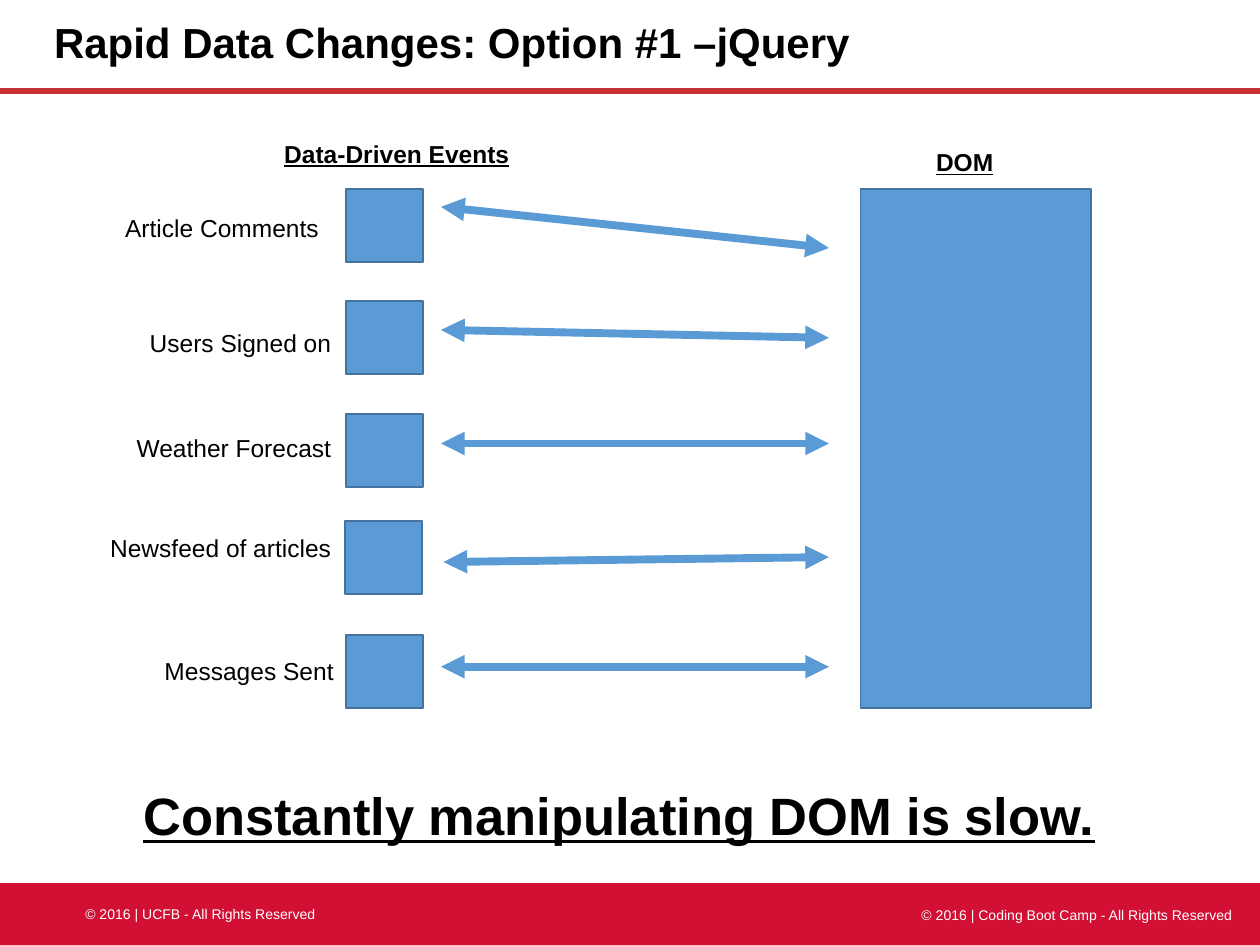
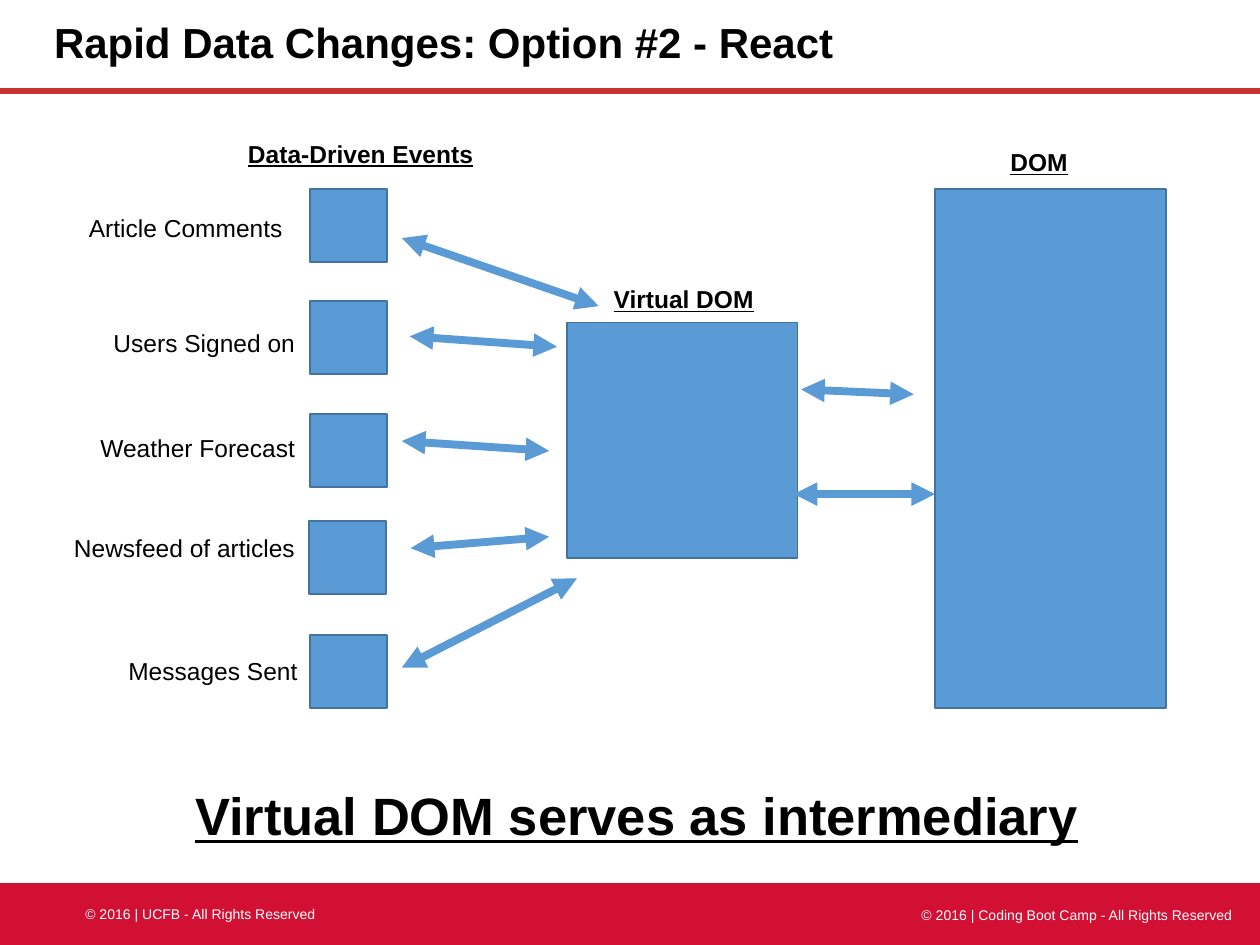
from lxml import etree
from pptx import Presentation
from pptx.dml.color import RGBColor
from pptx.enum import shapes, text
from pptx.oxml.ns import qn
from pptx.util import Cm, Pt

BLACK = RGBColor(0x00, 0x00, 0x00)
WHITE = RGBColor(0xFF, 0xFF, 0xFF)
BAND_RED = RGBColor(0xD1, 0x10, 0x34)
RULE_RED = RGBColor(0xC8, 0x32, 0x32)
BLUE = RGBColor(0x5B, 0x9B, 0xD5)
DARK_BLUE = RGBColor(0x43, 0x73, 0x9E)
FONT = "Arial"
LEFT, CENTER, RIGHT = text.PP_ALIGN.LEFT, text.PP_ALIGN.CENTER, text.PP_ALIGN.RIGHT

SLIDE_WIDTH, SLIDE_HEIGHT = 25.4, 19.05
DIAGRAM_TOP = 3.81
BLOCK_WIDTH, DOM_HEIGHT = 4.65, 10.46
LABEL_HEIGHT = 0.86

# Each event: label, label offset (x, y), square offset (x, y)
EVENTS = [
    ("Article Comments", (-6.5, 0.36), (0, 0)),
    ("Users Signed on", (-6.25, 2.67), (0, 2.26)),
    ("Weather Forecast", (-6.25, 4.8), (0, 4.54)),
    ("Newsfeed of articles", (-6.25, 6.81), (-0.02, 6.69)),
    ("Messages Sent", (-6.2, 9.3), (0, 8.99)),
]


def add_text(slide, words, left, top, width, height, size=14, color=BLACK,
             bold=False, underline=False, align=LEFT):
    box = slide.shapes.add_textbox(Cm(left), Cm(top), Cm(width), Cm(height))
    frame = box.text_frame
    frame.word_wrap = True
    paragraph = frame.paragraphs[0]
    paragraph.text = words
    paragraph.alignment = align
    font = paragraph.font
    font.name, font.size, font.bold, font.underline = FONT, Pt(size), bold, underline
    font.color.rgb = color
    return box


def add_block(slide, left, top, width, height, fill=BLUE, line=DARK_BLUE,
              preset=shapes.MSO_SHAPE.RECTANGLE):
    block = slide.shapes.add_shape(preset, Cm(left), Cm(top), Cm(width), Cm(height))
    block.shadow.inherit = False
    block.fill.solid()
    block.fill.fore_color.rgb = fill
    if line is None:
        block.line.fill.background()
    else:
        block.line.color.rgb = line
        block.line.width = Pt(1)


def add_line(slide, x1, y1, x2, y2, color, width):
    connector = slide.shapes.add_connector(
        shapes.MSO_CONNECTOR.STRAIGHT, Cm(x1), Cm(y1), Cm(x2), Cm(y2))
    connector.line.color.rgb = color
    connector.line.width = Pt(width)
    etree.SubElement(connector._element.spPr, qn("a:effectLst"))
    return connector


def draw_frame(slide, title, title_width):
    """Title with its rule, and the footer band."""
    add_block(slide, 0, 17.8, SLIDE_WIDTH, SLIDE_HEIGHT - 17.8, BAND_RED, None,
              shapes.MSO_SHAPE.FLOWCHART_PROCESS)
    add_text(slide, "© 2016 | UCFB - All Rights Reserved",
             1.47, 18.14, 7.75, 0.6, size=8, color=WHITE)
    add_line(slide, 0, 1.83, SLIDE_WIDTH, 1.83, RULE_RED, 3.25)
    add_text(slide, "© 2016 | Coding Boot Camp - All Rights Reserved",
             17.35, 18.16, 7.75, 0.6, size=8, color=WHITE, align=RIGHT)
    box = add_text(slide, title, 0.84, 0, title_width, 1.83, size=24, bold=True)
    box.text_frame.vertical_anchor = text.MSO_ANCHOR.MIDDLE
    box.text_frame.paragraphs[0].line_spacing = 0.9


def draw_events(slide, left, top):
    """Column of event squares with labels; left is the squares' edge."""
    add_text(slide, "Data-Driven Events", left - 1.5, top - 1.14, 5.18,
             LABEL_HEIGHT, bold=True, underline=True)
    for label, (label_x, label_y), (square_x, square_y) in EVENTS:
        add_block(slide, left + square_x, top + square_y, 1.55, 1.47)
        add_text(slide, label, left + label_x, top + label_y, 6.2,
                 LABEL_HEIGHT, align=RIGHT)


def draw_dom(slide, left, top):
    add_block(slide, left, top, BLOCK_WIDTH, DOM_HEIGHT)
    add_text(slide, "DOM", left + 1.27, top - 0.97, 2.87, LABEL_HEIGHT,
             bold=True, underline=True)


def draw_virtual_dom(slide, left, top):
    add_block(slide, left, top, BLOCK_WIDTH, 4.75)
    add_text(slide, "Virtual DOM", left + 0.69, top - 0.89, 3.61, LABEL_HEIGHT,
             bold=True, underline=True)


def draw_arrows(slide, left, top, arrows):
    """Two-headed arrows, each (x1, y1, x2, y2) from the region's corner."""
    for x1, y1, x2, y2 in arrows:
        arrow = add_line(slide, left + x1, top + y1, left + x2, top + y2, BLUE, 4.5)
        outline = arrow.line._get_or_add_ln()
        for end in ("a:headEnd", "a:tailEnd"):
            etree.SubElement(outline, qn(end), type="triangle")


def draw_conclusion(slide, words, left, width):
    add_text(slide, words, left, 15.67, width, 1.55, size=30, bold=True,
             underline=True, align=CENTER)


def build_jquery_slide(slide):
    draw_frame(slide, "Rapid Data Changes: Option #1 –jQuery", 22.23)
    draw_events(slide, 6.98, DIAGRAM_TOP)
    draw_dom(slide, 17.35, DIAGRAM_TOP)
    # Every event updates the DOM
    draw_arrows(slide, 8.89, DIAGRAM_TOP, [
        (0, 0.36, 7.82, 1.19),
        (0, 2.84, 7.82, 3),
        (0, 5.13, 7.82, 5.13),
        (0.05, 7.52, 7.82, 7.42),
        (0, 9.63, 7.82, 9.63),
    ])
    draw_conclusion(slide, "Constantly manipulating DOM is slow.", 0.84, 23.29)


def build_react_slide(slide):
    draw_frame(slide, "Rapid Data Changes: Option #2 - React", 19.89)
    draw_events(slide, 6.25, DIAGRAM_TOP)
    draw_dom(slide, 18.85, DIAGRAM_TOP)
    draw_virtual_dom(slide, 11.43, 6.5)
    # Events to virtual DOM
    draw_arrows(slide, 8.1, DIAGRAM_TOP, [
        (0, 0.99, 3.97, 2.36),
        (0.16, 2.97, 3.13, 3.18),
        (0, 5.08, 2.97, 5.28),
        (0.18, 7.24, 2.97, 7.01),
        (0, 9.65, 3.53, 7.85),
    ])
    # Virtual DOM to DOM
    draw_arrows(slide, 16, DIAGRAM_TOP, [
        (0.15, 4.04, 2.42, 4.14),
        (0, 6.15, 2.85, 6.15),
    ])
    draw_conclusion(slide, "Virtual DOM serves as intermediary", 3.05, 19.58)


def main():
    presentation = Presentation()
    presentation.slide_width = Cm(SLIDE_WIDTH)
    presentation.slide_height = Cm(SLIDE_HEIGHT)
    blank = presentation.slide_layouts[6]
    for build in (build_jquery_slide, build_react_slide):
        build(presentation.slides.add_slide(blank))
    presentation.save("out.pptx")


if __name__ == "__main__":
    main()
